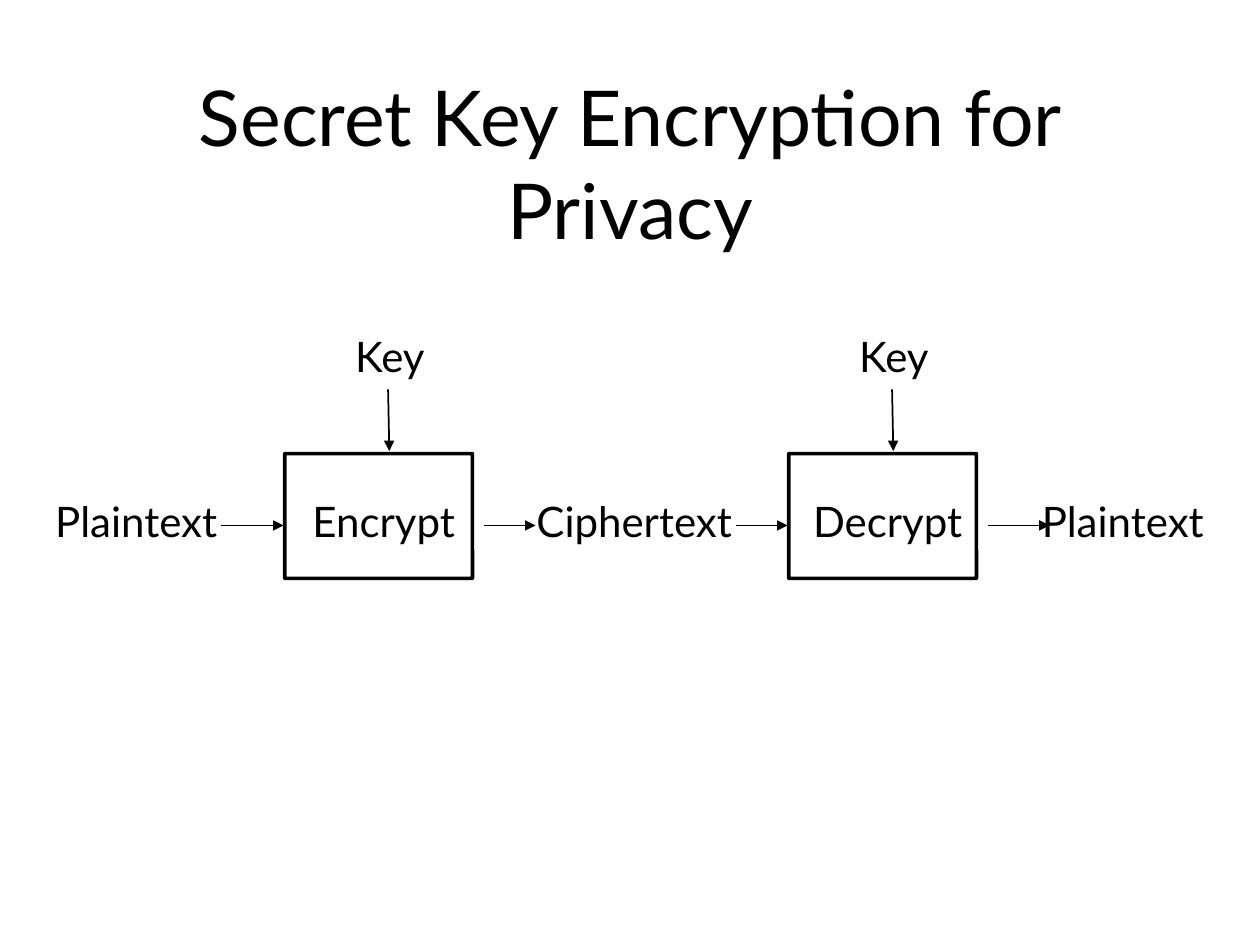
from pptx import Presentation
from pptx.dml.color import RGBColor
from pptx.enum.shapes import MSO_CONNECTOR, MSO_SHAPE
from pptx.enum.text import MSO_ANCHOR, MSO_AUTO_SIZE, PP_ALIGN
from pptx.oxml.ns import qn
from pptx.util import Inches, Pt
from lxml import etree

BLACK = RGBColor(0x00, 0x00, 0x00)
WHITE = RGBColor(0xFF, 0xFF, 0xFF)
LEFT, CENTER = PP_ALIGN.LEFT, PP_ALIGN.CENTER
MIDDLE, TOP = MSO_ANCHOR.MIDDLE, MSO_ANCHOR.TOP
NO_AUTOFIT, FIT_SHAPE = MSO_AUTO_SIZE.NONE, MSO_AUTO_SIZE.SHAPE_TO_FIT_TEXT
STRAIGHT = MSO_CONNECTOR.STRAIGHT
ROUNDED = MSO_SHAPE.ROUNDED_RECTANGLE

FONT = "Lato"
LABEL_TOP, LABEL_HEIGHT = 3.88, 0.51
FLOW_Y = 4.17
STAGE_STEP = 4


def write(holder, text, size=24, align=LEFT, anchor=TOP, wrap=False, fit=FIT_SHAPE):
    frame = holder.text_frame
    frame.text = text
    frame.word_wrap = wrap
    frame.auto_size = fit
    frame.vertical_anchor = anchor
    paragraph = frame.paragraphs[0]
    paragraph.alignment = align
    paragraph.line_spacing = 1.01
    paragraph.font.name = FONT
    paragraph.font.size = Pt(size)
    paragraph.font.color.rgb = BLACK


def draw_arrow(x1, y1, x2, y2):
    arrow = slide.shapes.add_connector(
        STRAIGHT, Inches(x1), Inches(y1), Inches(x2), Inches(y2))
    arrow.line.color.rgb = BLACK
    arrow.line.width = Pt(1)
    etree.SubElement(arrow.line._get_or_add_ln(), qn("a:tailEnd"), type="triangle")
    etree.SubElement(arrow._element.spPr, qn("a:effectLst"))


prs = Presentation()
prs.slide_width = Inches(10)
prs.slide_height = Inches(7.5)
slide = prs.slides.add_slide(prs.slide_layouts[5])

# Title
title = slide.shapes.title
title.left, title.top = Inches(0.75), Inches(0.48)
title.width, title.height = Inches(8.5), Inches(1.61)
write(title, "Secret Key Encryption for Privacy", size=44, align=CENTER,
      anchor=MIDDLE, wrap=True, fit=NO_AUTOFIT)

# Encrypt and decrypt stages, each with its key above
stages = [("Encrypt", 2.35, 1.39), ("Decrypt", 6.33, 1.43)]
for index, (name, name_left, name_width) in enumerate(stages):
    shift = index * STAGE_STEP
    stage = slide.shapes.add_group_shape()
    box = stage.shapes.add_shape(
        ROUNDED, Inches(2.26 + shift), Inches(3.6), Inches(1.49), Inches(0.99))
    box.adjustments[0] = 0.002
    box.shadow.inherit = False
    box.fill.solid()
    box.fill.fore_color.rgb = WHITE
    box.line.color.rgb = BLACK
    box.line.width = Pt(2)
    stage_label = stage.shapes.add_textbox(
        Inches(name_left), Inches(LABEL_TOP), Inches(name_width), Inches(LABEL_HEIGHT))
    write(stage_label, name, align=CENTER)

    key = slide.shapes.add_textbox(
        Inches(2.72 + shift), Inches(2.57), Inches(0.77), Inches(LABEL_HEIGHT))
    write(key, "Key")
    draw_arrow(3.08 + shift, 3.09, 3.09 + shift, 3.58)

# Texts that flow between the stages
for message, left, width in [("Plaintext", 0.34, 1.57),
                             ("Ciphertext", 4.16, 1.84),
                             ("Plaintext", 8.17, 1.57)]:
    message_label = slide.shapes.add_textbox(
        Inches(left), Inches(LABEL_TOP), Inches(width), Inches(LABEL_HEIGHT))
    write(message_label, message)

# Flow arrows
for start, end in [(1.75, 2.25), (3.84, 4.25), (5.84, 6.25), (7.84, 8.33)]:
    draw_arrow(start, FLOW_Y, end, FLOW_Y)

prs.save("out.pptx")
